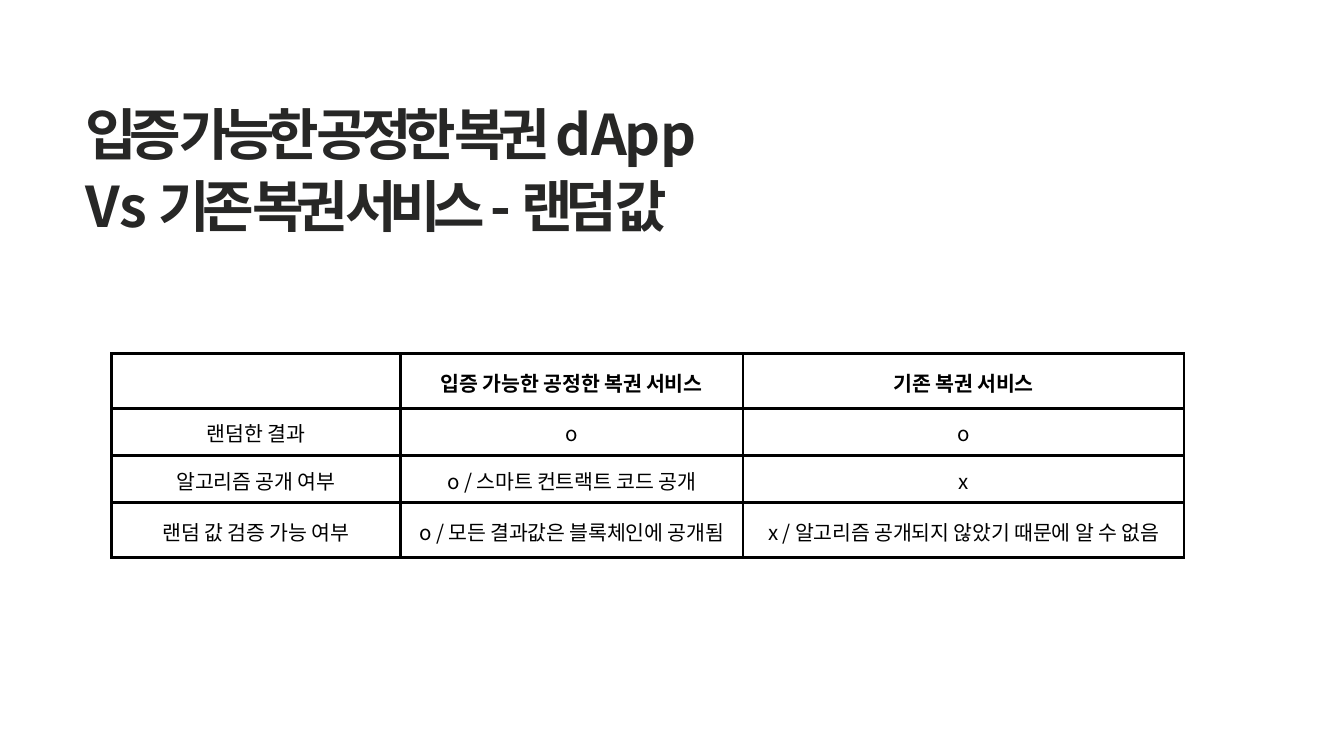
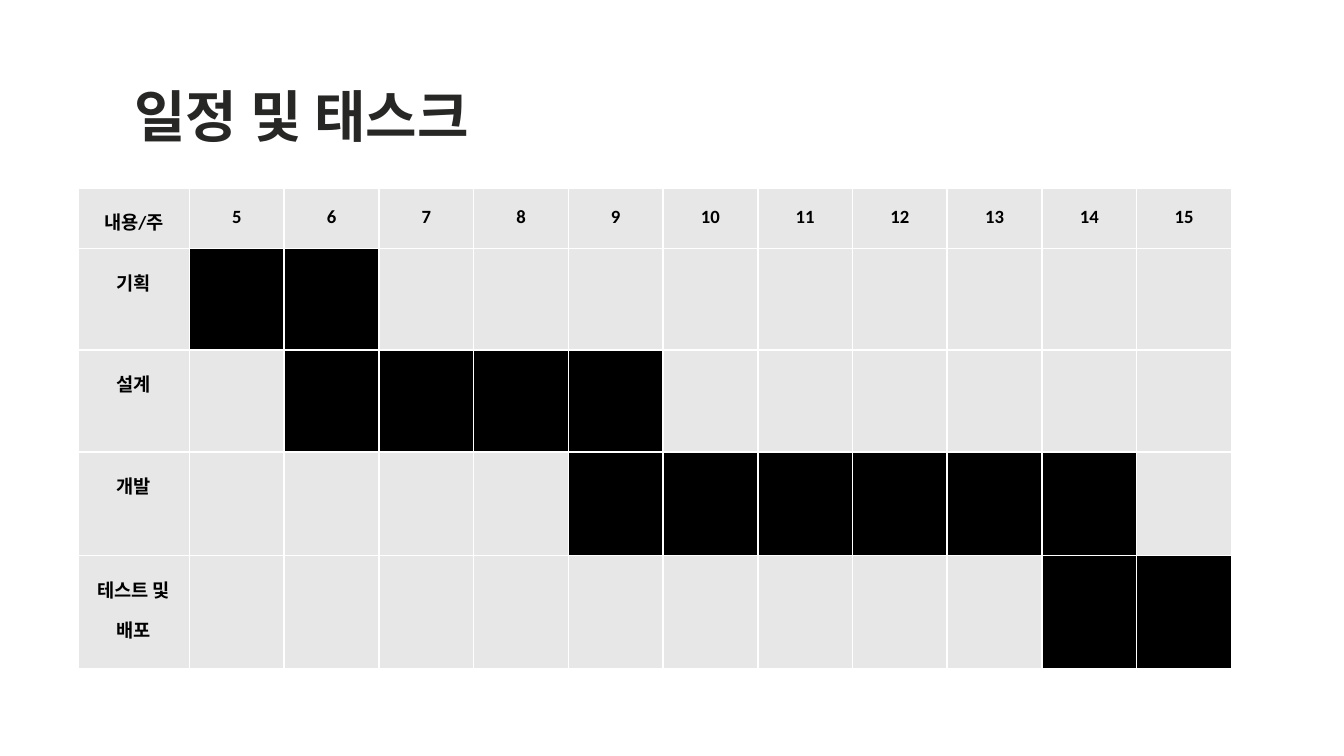
from lxml.etree import SubElement
from pptx import Presentation
from pptx.dml.color import RGBColor
from pptx.enum.text import PP_ALIGN
from pptx.oxml.ns import qn
from pptx.util import Pt

PX = 4572
INK = RGBColor(0x27, 0x27, 0x26)
BLACK = RGBColor(0, 0, 0)
WHITE = RGBColor(255, 255, 255)
GRAY = RGBColor(0xE7, 0xE7, 0xE7)
SANS = "Noto Sans CJK KR"


def write(frame, paras, size=30, color=INK, font=SANS, bold=True,
          align=PP_ALIGN.LEFT, line=None):
    frame.word_wrap = True
    for i, (gap, runs) in enumerate(paras):
        para = frame.paragraphs[0] if i == 0 else frame.add_paragraph()
        para.alignment = align
        para.space_before = Pt(gap)
        if line:
            para.line_spacing = line
        for words, space in runs:
            run = para.add_run()
            run.text = words
            run.font.size = Pt(size)
            run.font.bold = bold
            run.font.name = font
            run.font.color.rgb = color
            props = run.font._element
            props.set("spc", str(round(space * 100)))
            SubElement(props, qn("a:ea")).set("typeface", SANS)


def grid(slide, left, top, cols, rows, color, width):
    table = slide.shapes.add_table(
        len(rows), len(cols), left * PX, top * PX,
        sum(cols) * PX, sum(rows) * PX).table
    table.first_row = table.horz_banding = False
    for col, wide in zip(table.columns, cols):
        col.width = wide * PX
    for row, high in zip(table.rows, rows):
        row.height = high * PX
    for cell in table.iter_cells():
        props = cell._tc.get_or_add_tcPr()
        for side in "LRTB":
            edge = SubElement(props, qn(f"a:ln{side}"), w=str(Pt(width)))
            fill = SubElement(edge, qn("a:solidFill"))
            SubElement(fill, qn("a:srgbClr"), val=str(color))
        cell.fill.background()
    return table


deck = Presentation()
deck.slide_width, deck.slide_height = 2000 * PX, 1125 * PX

titles = [
    ((126, 138, 1282, 222), 10, None, [
        (3.9, [("입증 가능한 공정한 복권 ", -4), ("d", -2.6), ("Ap", -1.6), ("p", -1.5)]),
        (2.9, [("Vs ", -0.3), ("기존 복권 서비스 ", -4), ("- ", -1.1), ("랜덤 값", -4)]),
    ]),
    ((198, 112, 924, 102), 2, 1.08, [(1, [("일정 및 태스크", 0)])]),
]
slides = []
for place, inset, line, paras in titles:
    slide = deck.slides.add_slide(deck.slide_layouts[6])
    frame = slide.shapes.add_textbox(*[n * PX for n in place]).text_frame
    frame.margin_left, frame.margin_top = 2 * PX, inset * PX
    frame.margin_right = frame.margin_bottom = 0
    write(frame, paras, line=line)
    slides.append(slide)

facts = [
    ["", "입증 가능한 공정한 복권 서비스", "기존 복권 서비스"],
    ["랜덤한 결과", "o", "o"],
    ["알고리즘 공개 여부", "o / 스마트 컨트랙트 코드 공개", "x"],
    ["랜덤 값 검증 가능 여부", "o / 모든 결과값은 블록체인에 공개됨",
     "x / 알고리즘 공개되지 않았기 때문에 알 수 없음"],
]
table = grid(slides[0], 166, 526, [430, 510, 656], [82, 70, 70, 82], BLACK, 1.5)
for r, (row, gap) in enumerate(zip(facts, [7.3, 5, 5.1, 7.2])):
    for c, words in enumerate(row):
        if words:
            cell = table.cell(r, c)
            cell.margin_left = cell.margin_right = cell.margin_bottom = 0
            cell.margin_top = Pt(gap)
            write(cell.text_frame, [(gap, [(words, -0.1 if len(words) > 1 else 0)])],
                  size=11, color=BLACK, bold=r == 0, align=PP_ALIGN.CENTER)

FIRST, LAST = 5, 15
weeks = range(FIRST, LAST + 1)
tasks = [("기획", 5, 6, 12.5), ("설계", 6, 9, 12.5),
         ("개발", 9, 14, 12.5), ("테스트 및 배포", 14, 15, 0)]
plan = grid(slides[1], 116, 280, [166] + [141] * len(weeks),
            [90, 151, 152, 154, 169], WHITE, 1)
for cell in plan.iter_cells():
    cell.fill.solid()
    cell.fill.fore_color.rgb = GRAY
labels = [(0, c, str(week), 0) for c, week in enumerate(weeks, 1)]
labels.append((0, 0, "내용/주", 0))
for r, (name, start, end, gap) in enumerate(tasks, 1):
    labels.append((r, 0, name, gap))
    for week in range(start, end + 1):
        plan.cell(r, week - FIRST + 1).fill.fore_color.rgb = BLACK
for r, c, words, gap in labels:
    write(plan.cell(r, c).text_frame, [(gap, [(words, 0)])], size=10,
          color=BLACK, font="Calibri", align=PP_ALIGN.CENTER, line=1.5)

deck.save("out.pptx")
